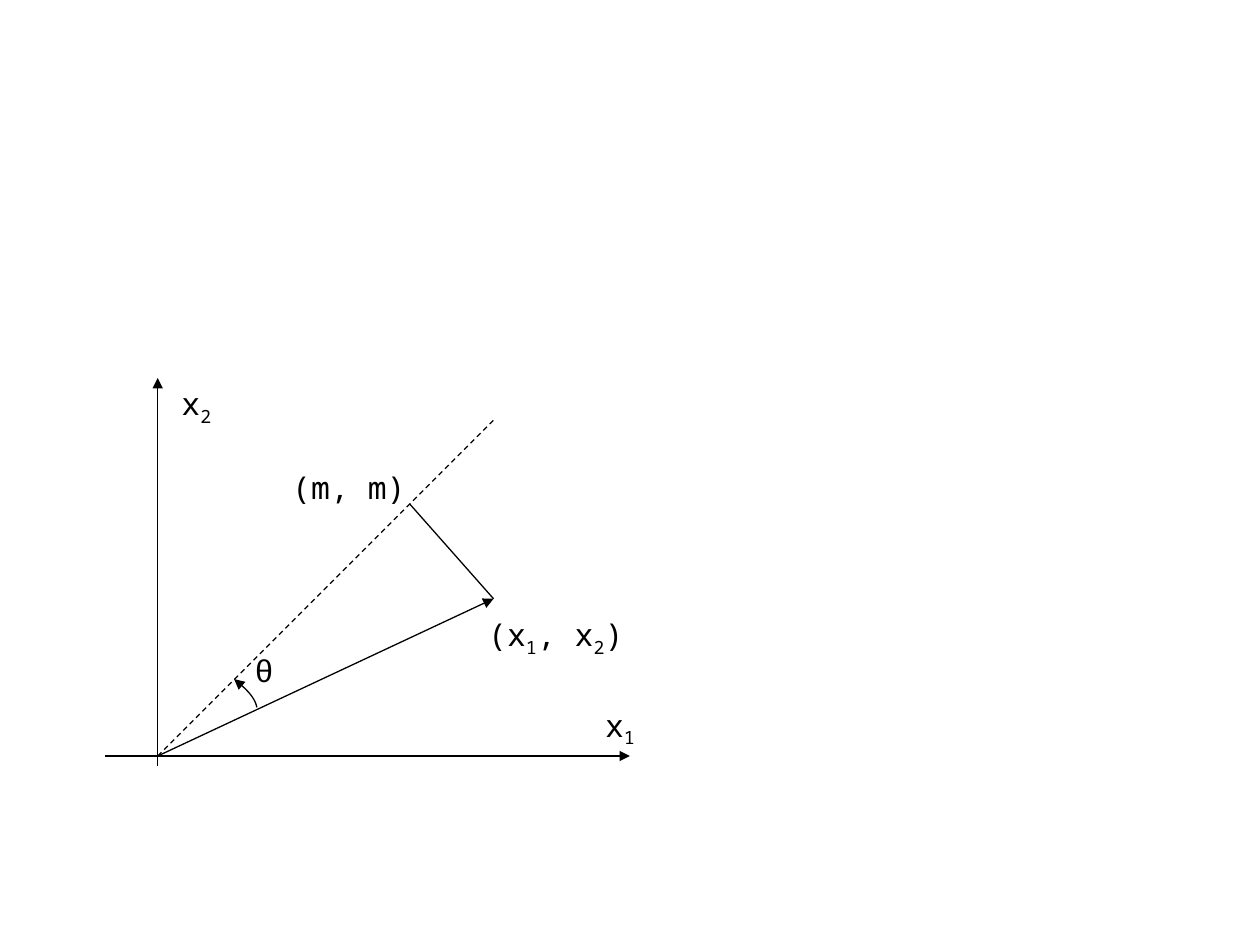
from dataclasses import dataclass

from lxml import etree
from pptx import Presentation
from pptx import util as u
from pptx.dml.color import RGBColor
from pptx.enum import dml, text
from pptx.oxml import ns

COLOURS = {"ink": "000000"}
MONO = "Noto Sans Mono"
Point = tuple[float, float]


@dataclass(frozen=True)
class Segment:
    start: Point
    end: Point
    arrow: bool = False
    dashed: bool = False


@dataclass(frozen=True)
class Label:
    left: float
    top: float
    width: float
    height: float
    runs: tuple[tuple[str, bool], ...]  # wording, is subscript
    font: str = MONO


# Points of the diagram, in centimetres
ORIGIN = (3.18, 15.24)
VECTOR_TIP = (9.95, 12.07)
PROJECTION = (8.26, 10.16)

SEGMENTS = (
    Segment((2.12, 15.24), (12.7, 15.24), arrow=True),  # x1 axis
    Segment((3.18, 15.45), (3.18, 7.62), arrow=True),  # x2 axis
    Segment(ORIGIN, (9.95, 8.47), dashed=True),  # diagonal
    Segment(ORIGIN, VECTOR_TIP, arrow=True),
    Segment(VECTOR_TIP, PROJECTION),
)
ANGLE_ARC = ((5.18, 14.26), (5.13, 14.02), (4.9, 13.84), (4.72, 13.69))

LABELS = (
    Label(11.94, 14.1, 1.12, 1.12, (("x", False), ("1", True))),
    Label(3.4, 7.62, 1.12, 1.12, (("x", False), ("2", True))),
    Label(9.58, 12.27, 3.25, 1.12,
          (("(x", False), ("1", True), (", x", False), ("2", True), (")", False))),
    Label(5.64, 9.32, 2.79, 1.02, (("(m, m)", False),)),
    Label(4.9, 13.0, 0.84, 1.02, (("θ", False),), font="Arial"),
)


def style_line(shape, arrow: bool, dashed: bool = False) -> None:
    shape.line.width = u.Pt(0.75)
    shape.line.color.rgb = RGBColor.from_string(COLOURS["ink"])
    if dashed:
        shape.line.dash_style = dml.MSO_LINE.DASH
    properties = shape._element.spPr
    if arrow:
        outline = properties.find(ns.qn("a:ln"))
        etree.SubElement(outline, ns.qn("a:tailEnd"), type="triangle")
    etree.SubElement(properties, ns.qn("a:effectLst"))


def draw_segment(slide, segment: Segment) -> None:
    ends = [u.Cm(value) for value in segment.start + segment.end]
    connector = slide.shapes.add_connector(1, *ends)
    style_line(connector, segment.arrow, segment.dashed)


def draw_arc(slide, controls: tuple[Point, ...], steps: int = 12) -> None:
    """Trace a cubic Bézier curve through short straight steps."""
    points = []
    for step in range(steps + 1):
        t = step / steps
        weights = ((1 - t) ** 3, 3 * t * (1 - t) ** 2, 3 * t ** 2 * (1 - t), t ** 3)
        points.append(tuple(
            u.Cm(sum(w * p[axis] for w, p in zip(weights, controls)))
            for axis in (0, 1)))
    builder = slide.shapes.build_freeform(*points[0])
    builder.add_line_segments(points[1:], close=False)
    arc = builder.convert_to_shape()
    arc.fill.background()
    style_line(arc, arrow=True)


def draw_label(slide, label: Label) -> None:
    box = slide.shapes.add_textbox(
        u.Cm(label.left), u.Cm(label.top), u.Cm(label.width), u.Cm(label.height))
    frame = box.text_frame
    frame.word_wrap = False
    frame.auto_size = text.MSO_AUTO_SIZE.SHAPE_TO_FIT_TEXT
    paragraph = frame.paragraphs[0]
    paragraph.alignment = text.PP_ALIGN.CENTER
    for wording, subscript in label.runs:
        run = paragraph.add_run()
        run.text = wording
        run.font.size = u.Pt(18)
        run.font.name = label.font
        run.font.color.rgb = RGBColor.from_string(COLOURS["ink"])
        if subscript:
            run._r.get_or_add_rPr().set("baseline", "-25000")


def main() -> None:
    deck = Presentation()
    deck.slide_width, deck.slide_height = u.Cm(25.4), u.Cm(19.05)
    slide = deck.slides.add_slide(deck.slide_layouts[6])

    # Axes, diagonal, vector and its projection
    for segment in SEGMENTS:
        draw_segment(slide, segment)
    # Angle between the vector and the diagonal
    draw_arc(slide, ANGLE_ARC)
    # Names of axes, points and angle
    for label in LABELS:
        draw_label(slide, label)

    deck.save("out.pptx")


if __name__ == "__main__":
    main()
